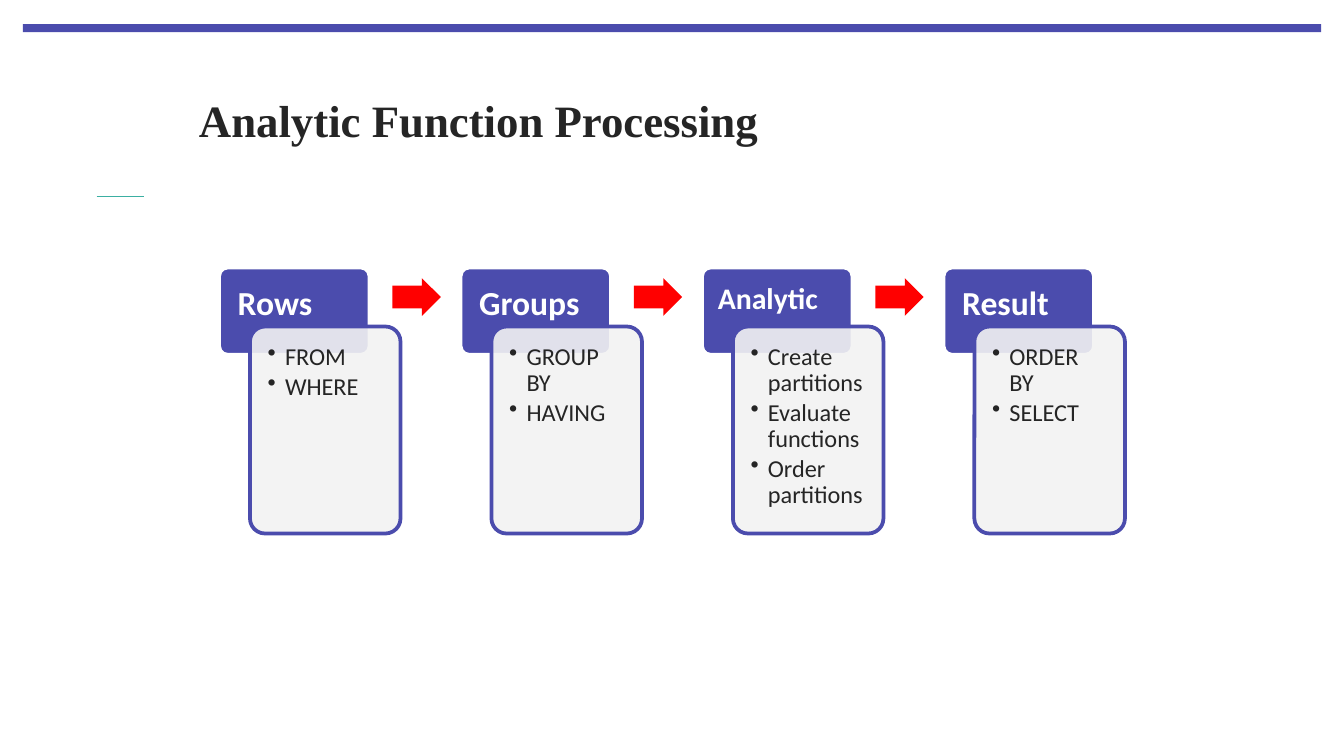
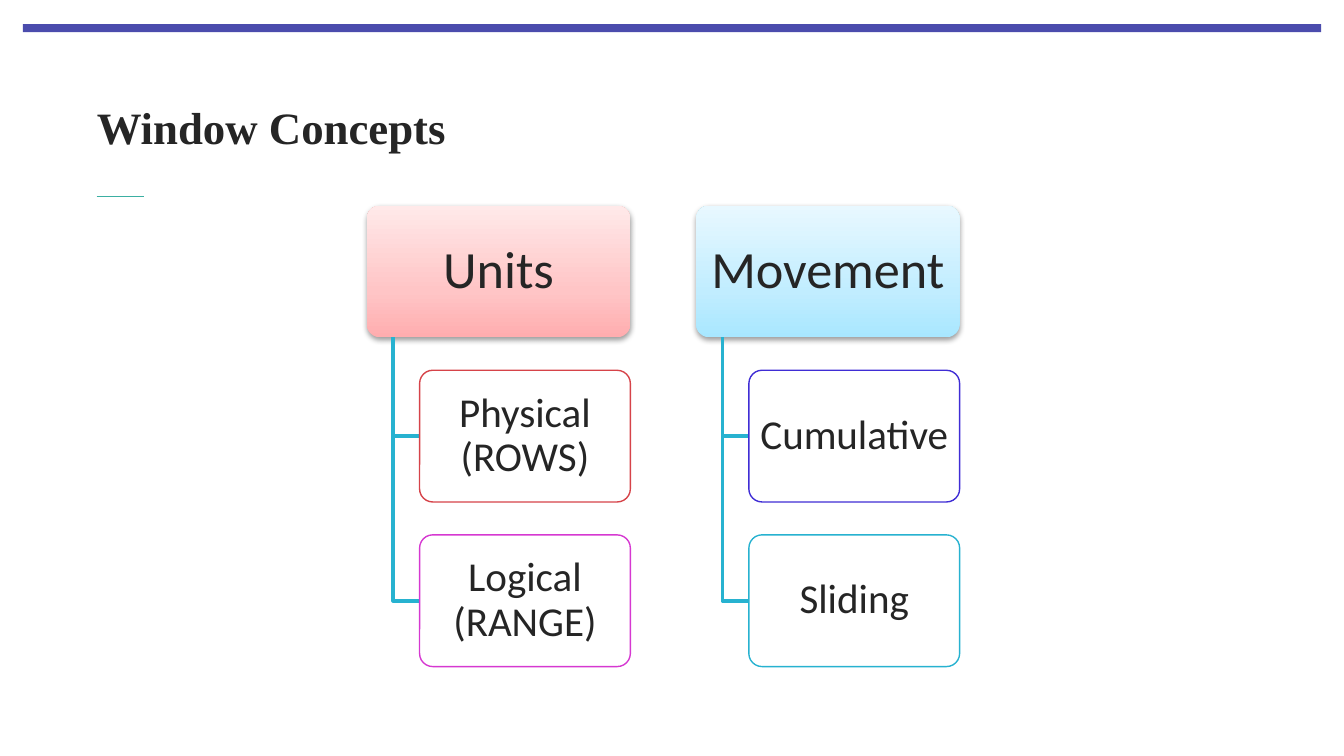
from lxml.etree import SubElement
from pptx import Presentation
from pptx.dml.color import RGBColor
from pptx.enum.shapes import MSO_CONNECTOR, MSO_SHAPE
from pptx.enum.text import MSO_ANCHOR, PP_ALIGN
from pptx.oxml.ns import qn
from pptx.util import Inches, Pt

# Content
STEPS = [  # heading, heading size, heading inset, bullets
    ("Rows", 18, 0.12, ["FROM", "WHERE"]),
    ("Groups", 18, 0.12, ["GROUP BY", "HAVING"]),
    ("Analytic", 16, 0.10,
     ["Create partitions", "Evaluate functions", "Order partitions"]),
    ("Result", 18, 0.12, ["ORDER BY", "SELECT"]),
]
CONCEPTS = [  # heading, gradient stops, children with outline colours
    ("Units", [(0, "FFADAF"), (35, "FFC5C6"), (100, "FFE9E9")],
     [("Physical (ROWS)", "D64349"), ("Logical (RANGE)", "D638D1")]),
    ("Movement", [(0, "A8E7FF"), (35, "C1EDFF"), (100, "E8F8FF")],
     [("Cumulative", "3F2DD5"), ("Sliding", "27B2D0")]),
]

# Shared style
WIDTH = 10
HEIGHT = WIDTH * 9 / 16
INDIGO, TEAL, CYAN, RED = "4B4CAD", "3BAFA2", "27B2D0", "FF0000"
INK, WHITE, PALE = "252525", "FFFFFF", "F2F2F2"
TITLE_FONT, BODY_FONT = "Times New Roman", "Calibri"
MARGIN = 0.72
BULLET_INDENT = 0.13


def rgb(hex_colour):
    return RGBColor.from_string(hex_colour)


def set_outline(shape, colour, points):
    shape.line.color.rgb = rgb(colour)
    shape.line.width = Pt(points)


def add_block(slide, kind, box, fill=None, outline=None, adjust=(), opacity=None):
    block = slide.shapes.add_shape(kind, *map(Inches, box))
    block.shadow.inherit = False
    for index, value in enumerate(adjust):
        block.adjustments[index] = value
    if fill:
        block.fill.solid()
        block.fill.fore_color.rgb = rgb(fill)
    if opacity:
        colour = block._element.spPr.find(qn("a:solidFill"))[0]
        SubElement(colour, qn("a:alpha"), val=str(opacity * 1000))
    if outline:
        set_outline(block, *outline)
    else:
        block.line.fill.background()
    return block


def write(shape, lines, size, colour=INK, font=BODY_FONT, bold=False,
          align=PP_ALIGN.LEFT, anchor=MSO_ANCHOR.MIDDLE, insets=(0, 0),
          spacing=0.9, bullet=False):
    frame = shape.text_frame
    frame.word_wrap = True
    frame.vertical_anchor = anchor
    frame.margin_left = frame.margin_right = Inches(insets[0])
    frame.margin_top = frame.margin_bottom = Inches(insets[1])
    frame.text = "\n".join(lines)
    for paragraph in frame.paragraphs:
        paragraph.alignment = align
        paragraph.line_spacing = spacing
        if bullet:
            paragraph.space_after = Pt(0.15 * size)
            properties = paragraph._p.get_or_add_pPr()
            properties.set("marL", str(Inches(BULLET_INDENT)))
            properties.set("indent", str(-Inches(BULLET_INDENT)))
            SubElement(properties, qn("a:buChar"), char="•")
        paragraph.font.size = Pt(size)
        paragraph.font.name = font
        paragraph.font.bold = bold
        paragraph.font.color.rgb = rgb(colour)


def add_titled_slide(deck, title, box):
    slide = deck.slides.add_slide(deck.slide_layouts[6])
    add_block(slide, MSO_SHAPE.RECTANGLE, (0.17, 0.18, WIDTH - 0.34, 0.06), INDIGO)
    accent = slide.shapes.add_connector(
        MSO_CONNECTOR.STRAIGHT, *map(Inches, (MARGIN, 1.46, MARGIN + 0.35, 1.46)))
    set_outline(accent, TEAL, 0.5)
    SubElement(accent._element.spPr, qn("a:effectLst"))
    heading = slide.shapes.add_textbox(*map(Inches, box))
    write(heading, [title], 24, font=TITLE_FONT, bold=True, spacing=1)
    return slide


# Slide 1: chain of processing steps
def build_processing(deck):
    slide = add_titled_slide(deck, "Analytic Function Processing",
                             (1.48, 0.61, 6.88, 0.56))
    first, last, top, width = 1.63, 7.02, 1.99, 1.12
    pitch = (last - first) / (len(STEPS) - 1)
    for index, (heading, size, inset, bullets) in enumerate(STEPS):
        left = first + index * pitch
        header = add_block(slide, MSO_SHAPE.ROUNDED_RECTANGLE,
                           (left, top, width, 0.65), INDIGO, (WHITE, 2), [0.1])
        write(header, [heading], size, WHITE, bold=True,
              anchor=MSO_ANCHOR.TOP, insets=(inset, inset))
        details = add_block(slide, MSO_SHAPE.ROUNDED_RECTANGLE,
                            (left + 0.23, top + 0.44, width, 1.54),
                            PALE, (INDIGO, 2), [0.1], opacity=90)
        write(details, bullets, 13, anchor=MSO_ANCHOR.TOP,
              insets=(0.1, 0.1), bullet=True)
        if index < len(STEPS) - 1:
            add_block(slide, MSO_SHAPE.RIGHT_ARROW,
                      (left + 1.29, top + 0.08, 0.36, 0.28), RED, adjust=[0.6, 0.5])


# Slide 2: two concept trees
def shade_card(card, stops):
    card.fill.gradient()
    card.fill.gradient_angle = 90
    properties = card._element.spPr
    stop_list = properties.find(qn("a:gradFill")).find(qn("a:gsLst"))
    for stop in list(stop_list):
        stop_list.remove(stop)
    for position, colour in stops:
        stop = SubElement(stop_list, qn("a:gs"), pos=str(position * 1000))
        SubElement(stop, qn("a:srgbClr"), val=colour)
    shadow = SubElement(properties.find(qn("a:effectLst")), qn("a:outerShdw"),
                        blurRad=str(Pt(3.1)), dist=str(Pt(1.6)),
                        dir="5400000", rotWithShape="0")
    black = SubElement(shadow, qn("a:srgbClr"), val="000000")
    SubElement(black, qn("a:alpha"), val="38000")


def add_branch(slide, left, top, right, bottom):
    builder = slide.shapes.build_freeform(Inches(left), Inches(top))
    builder.add_line_segments(
        [(Inches(left), Inches(bottom)), (Inches(right), Inches(bottom))], close=False)
    branch = builder.convert_to_shape()
    branch.shadow.inherit = False
    branch.fill.background()
    set_outline(branch, CYAN, 2)


def build_concepts(deck):
    slide = add_titled_slide(deck, "Window Concepts", (MARGIN, 0.47, 8.71, 0.94))
    first, top, width, height, step = 2.73, 1.53, 1.96, 0.98, 1.25
    for column, (heading, stops, children) in enumerate(CONCEPTS):
        left = first + column * step * width
        card = add_block(slide, MSO_SHAPE.ROUNDED_RECTANGLE,
                         (left, top, width, height), adjust=[0.1])
        shade_card(card, stops)
        write(card, [heading], 28, align=PP_ALIGN.CENTER, insets=(0.06, 0.04))
        child_left = left + 0.2 * width
        for row, (label, colour) in enumerate(children, start=1):
            child_top = top + row * step * height
            add_branch(slide, left + 0.1 * width, top + height,
                       child_left, child_top + height / 2)
            child = add_block(slide, MSO_SHAPE.ROUNDED_RECTANGLE,
                              (child_left, child_top, 0.8 * width, height),
                              WHITE, (colour, 0.75), [0.1], opacity=90)
            write(child, [label], 22, align=PP_ALIGN.CENTER, insets=(0.05, 0.03))


def main():
    deck = Presentation()
    deck.slide_width, deck.slide_height = Inches(WIDTH), Inches(HEIGHT)
    build_processing(deck)
    build_concepts(deck)
    deck.save("out.pptx")


if __name__ == "__main__":
    main()
